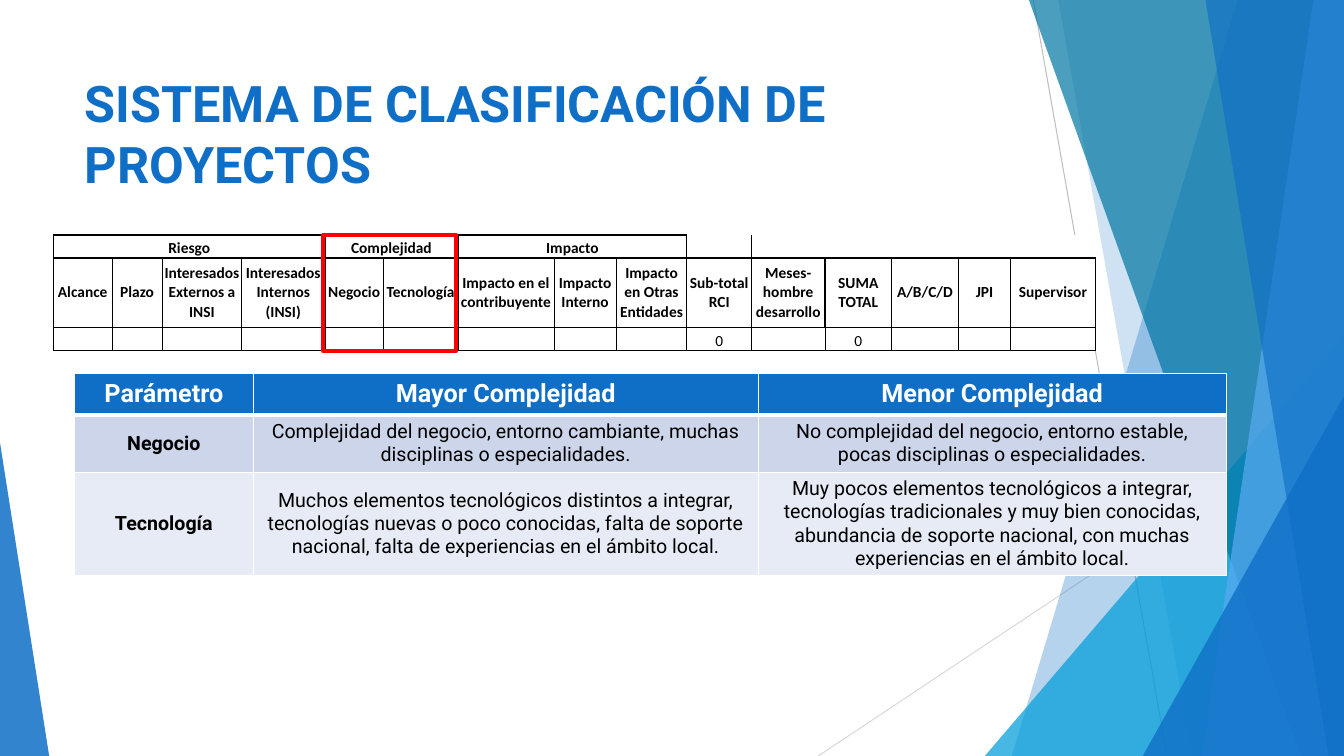
from dataclasses import dataclass

from lxml.etree import SubElement
from pptx import Presentation
from pptx.dml.color import RGBColor
from pptx.enum.shapes import MSO_CONNECTOR, MSO_SHAPE
from pptx.enum.text import MSO_ANCHOR, PP_ALIGN
from pptx.oxml.ns import qn
from pptx.util import Cm, Pt


@dataclass(frozen=True)
class Theme:
    blue: str = "0F6FC6"
    cyan: str = "009DD9"
    teal: str = "0076A3"
    sky: str = "59AAF2"
    white: str = "FFFFFF"
    black: str = "000000"
    red: str = "FF0000"
    row_dark: str = "CCD5EA"
    row_light: str = "E7EBF5"
    grey: str = "BFBFBF"
    light_grey: str = "D9D9D9"
    font: str = "Roboto"
    grid_font: str = "Calibri"
    title_size: int = 36
    header_size: int = 18
    body_size: int = 14
    grid_size: int = 11


T = Theme()
W, H = 33.87, 19.05
NO_STYLE = "{2D5ABB26-0587-4C30-8999-92F81FD0307C}"

# Backdrop, back to front: bands run from a top x to a bottom x, up to the right edge
BACK_LINES = [((26.04, 0), (29.41, H), T.grey), ((W, 10.24), (20.62, H), T.light_grey)]
BACKDROP = [
    ("band", (31.19, 25.5), T.blue, 30),
    ("band", (26.67, 30.05), T.blue, 20),
    ("triangle", (24.82, 8.46, 9.05, 10.59, 1), T.cyan, 72),
    ("band", (25.93, 32.79), T.teal, 70),
    ("band", (33.1, 30.28), T.sky, 70),
    ("band", (30.38, 33.48), T.blue, 65),
    ("triangle", (28.8, 9.98, 5.07, 9.07, 1), T.blue, 80),
    ("triangle", (0, 11.15, 1.24, 7.9, 0), T.blue, 85),
]

# Classification grid
GRID_COLS = [1.47, 1.27, 2, 2.1, 1.47, 1.88, 2.42, 1.57, 1.78,
             1.63, 1.85, 1.68, 1.68, 1.32, 2.13]
GRID_ROWS = [0.58, 1.75, 0.58]
GROUPS = {"Riesgo": (0, 3), "Complejidad": (4, 5), "Impacto": (6, 8)}
FIELDS = ["Alcance", "Plazo", "Interesados Externos a INSI", "Interesados Internos (INSI)",
          "Negocio", "Tecnología", "Impacto en el contribuyente", "Impacto Interno",
          "Impacto en Otras Entidades", "Sub-total RCI", "Meses-hombre desarrollo",
          "SUMA TOTAL", "A/B/C/D", "JPI", "Supervisor"]
TOTALS = {"Sub-total RCI": "0", "SUMA TOTAL": "0"}
FIRST_UNGROUPED = 9
GROUP_ENDS = {3, 5, 8, 9, 14}

# Complexity parameters
PARAM_COLS = [4.5, 12.73, 11.79]
PARAM_ROWS = [1.04, 1.44, 2.6]
PARAMS = [
    ["Parámetro", "Mayor Complejidad", "Menor Complejidad"],
    ["Negocio",
     "Complejidad del negocio, entorno cambiante, muchas disciplinas o especialidades.",
     "No complejidad del negocio, entorno estable, pocas disciplinas o especialidades."],
    ["Tecnología",
     "Muchos elementos tecnológicos distintos a integrar, tecnologías nuevas o poco "
     "conocidas, falta de soporte nacional, falta de experiencias en el ámbito local.",
     "Muy pocos elementos tecnológicos a integrar, tecnologías tradicionales y muy bien "
     "conocidas, abundancia de soporte nacional, con muchas experiencias en el ámbito local."],
]


def rgb(color):
    return RGBColor.from_string(color)


def write(tf, text, color, align=PP_ALIGN.CENTER, **formats):
    p = tf.paragraphs[0]
    p.alignment = align
    r = p.add_run()
    r.text = text
    for name, value in formats.items():
        setattr(r.font, name, value)
    r.font.color.rgb = rgb(color)


def add_line(s, start, end, color):
    c = s.shapes.add_connector(MSO_CONNECTOR.STRAIGHT, *(Cm(v) for v in start + end))
    c.line.color.rgb = rgb(color)
    c.line.width = Pt(0.75)
    SubElement(c._element.spPr, qn("a:effectLst"))


def paint(sp, color, opacity):
    sp.shadow.inherit = False
    sp.fill.solid()
    sp.fill.fore_color.rgb = rgb(color)
    sp.line.fill.background()
    srgb = sp._element.spPr.find(qn("a:solidFill"))[0]
    SubElement(srgb, qn("a:alpha")).set("val", str(opacity * 1000))


def add_band(s, top_x, bottom_x):
    points = [(Cm(x), Cm(y)) for x, y in [(top_x, 0), (W, 0), (W, H), (bottom_x, H)]]
    outline = s.shapes.build_freeform(*points[0])
    outline.add_line_segments(points[1:], close=True)
    return outline.convert_to_shape()


def add_triangle(s, x, y, w, h, apex):
    sp = s.shapes.add_shape(MSO_SHAPE.ISOSCELES_TRIANGLE, Cm(x), Cm(y), Cm(w), Cm(h))
    sp.adjustments[0] = apex
    return sp


def add_backdrop(s):
    for line in BACK_LINES:
        add_line(s, *line)
    builders = {"band": add_band, "triangle": add_triangle}
    for kind, place, color, opacity in BACKDROP:
        paint(builders[kind](s, *place), color, opacity)


def add_title(s, text):
    title = s.shapes.title
    box = {"left": Cm(1.88), "top": Cm(1.7), "width": Cm(23.88), "height": Cm(3.66)}
    for name, value in box.items():
        setattr(title, name, value)
    title.text_frame.vertical_anchor = MSO_ANCHOR.TOP
    write(title.text_frame, text, T.blue, PP_ALIGN.LEFT,
          name=T.font, size=Pt(T.title_size), bold=True)


def add_plain_table(s, x, y, cols, rows):
    frame = s.shapes.add_table(len(rows), len(cols), Cm(x), Cm(y), Cm(sum(cols)), Cm(sum(rows)))
    table = frame.table
    table.first_row = table.horz_banding = False
    table._tbl.tblPr.find(qn("a:tableStyleId")).text = NO_STYLE
    for column, width in zip(table.columns, cols):
        column.width = Cm(width)
    for row, height in zip(table.rows, rows):
        row.height = Cm(height)
    return table


def style_cell(cell, fill, line_color, borders):
    """Borders map a side (L, R, T, B, in this order) to a width in points."""
    for side, width in borders.items():
        ln = SubElement(cell._tc.get_or_add_tcPr(), qn("a:ln" + side))
        ln.set("w", str(Pt(width)))
        SubElement(SubElement(ln, qn("a:solidFill")), qn("a:srgbClr")).set("val", line_color)
    cell.fill.solid()
    cell.fill.fore_color.rgb = rgb(fill)


def grid_borders(row, col):
    if row == 0 and col >= FIRST_UNGROUPED:
        return {"L": 1, "B": 1} if col == FIRST_UNGROUPED else {"B": 1}

    def edge(right_of):
        heavy = right_of < 0 or right_of in GROUP_ENDS
        return 1 if heavy or (row == 1 and right_of >= FIRST_UNGROUPED) else 0.5

    return {"L": edge(col - 1), "R": edge(col), "T": 1, "B": 0.5 if row == 2 else 1}


def add_classification_grid(s):
    table = add_plain_table(s, 1.35, 5.92, GRID_COLS, GRID_ROWS)
    heads = {first: name for name, (first, _) in GROUPS.items()}
    for i in range(len(GRID_ROWS)):
        for j, field in enumerate(FIELDS):
            cell = table.cell(i, j)
            style_cell(cell, T.white, T.black, grid_borders(i, j))
            cell.margin_left = cell.margin_right = cell.margin_top = cell.margin_bottom = 0
            cell.vertical_anchor = MSO_ANCHOR.MIDDLE if i == 1 else MSO_ANCHOR.BOTTOM
            text = (heads.get(j), field, TOTALS.get(field))[i]
            if text:
                write(cell.text_frame, text, T.black,
                      name=T.grid_font, size=Pt(T.grid_size), bold=i < 2)
            else:  # keep empty rows low
                end = SubElement(cell.text_frame.paragraphs[0]._p, qn("a:endParaRPr"))
                end.set("sz", str(T.grid_size * 100))
    for first, last in GROUPS.values():
        table.cell(0, first).merge(table.cell(0, last))


def add_parameter_table(s):
    table = add_plain_table(s, 1.88, 9.42, PARAM_COLS, PARAM_ROWS)
    for i, fill in enumerate([T.blue, T.row_dark, T.row_light]):
        header = i == 0
        borders = {"L": 1, "R": 1, "T": 3 if i == 1 else 1, "B": 3 if header else 1}
        for j, text in enumerate(PARAMS[i]):
            cell = table.cell(i, j)
            style_cell(cell, fill, T.white, borders)
            cell.vertical_anchor = MSO_ANCHOR.TOP if header else MSO_ANCHOR.MIDDLE
            write(cell.text_frame, text, T.white if header else T.black, name=T.font,
                  size=Pt(T.header_size if header else T.body_size), bold=header or j == 0)


def add_highlight(s):
    sp = s.shapes.add_shape(MSO_SHAPE.RECTANGLE, Cm(8.15), Cm(5.92), Cm(3.35), Cm(2.92))
    sp.shadow.inherit = False
    sp.fill.background()
    sp.line.color.rgb = rgb(T.red)
    sp.line.width = Pt(3)


def main():
    prs = Presentation()
    prs.slide_width, prs.slide_height = Cm(W), Cm(H)
    s = prs.slides.add_slide(prs.slide_layouts[5])
    add_backdrop(s)
    add_title(s, "SISTEMA DE CLASIFICACIÓN DE PROYECTOS")
    add_classification_grid(s)
    add_parameter_table(s)
    add_highlight(s)
    prs.save("out.pptx")


if __name__ == "__main__":
    main()
